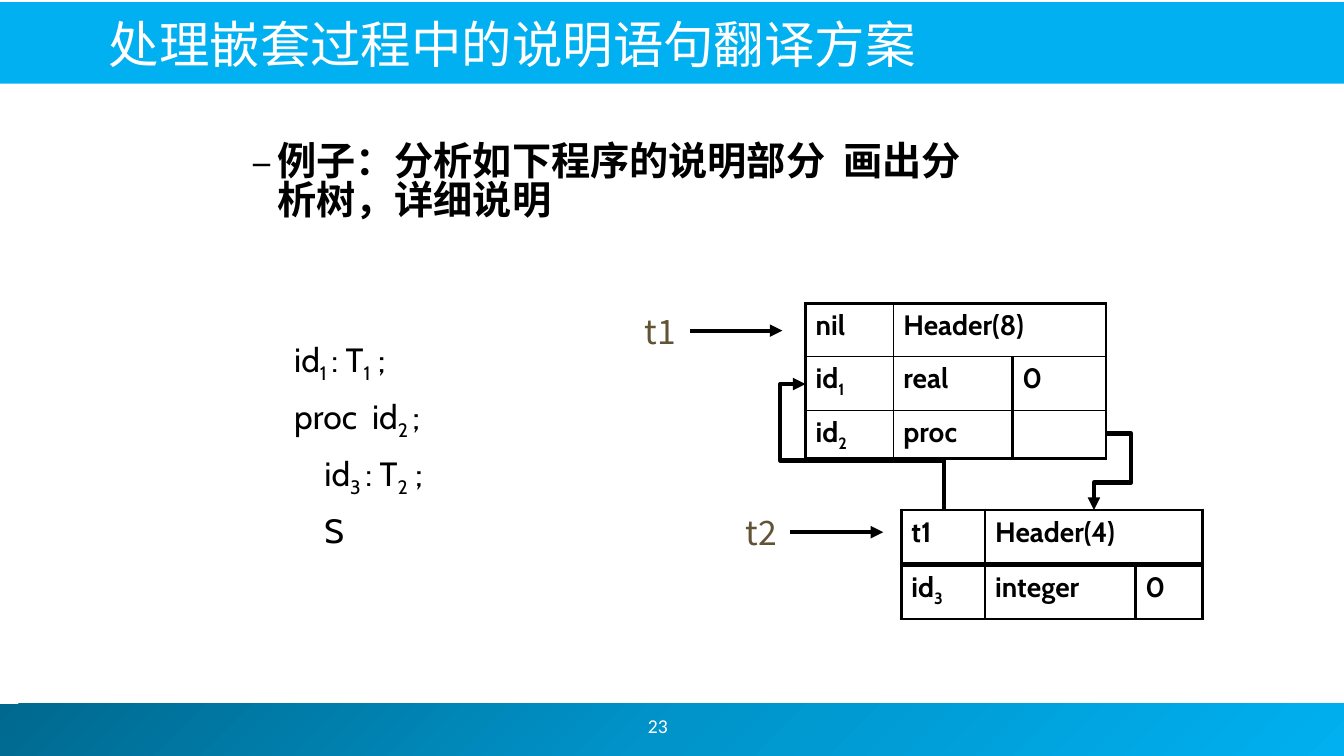
from copy import deepcopy
from dataclasses import dataclass

from lxml.etree import SubElement
from pptx import Presentation
from pptx.dml.color import RGBColor
from pptx.enum.shapes import MSO_CONNECTOR, MSO_SHAPE
from pptx.enum.text import MSO_ANCHOR, MSO_AUTO_SIZE, PP_ALIGN
from pptx.oxml.ns import qn
from pptx.util import Inches, Pt


@dataclass(frozen=True)
class Theme:
    sky: str = "00B0F0"
    footer_stops: tuple = ((0, "00688E"), (0.5, "0094CA"), (1, "00B0F0"))
    white: str = "FFFFFF"
    ink: str = "000000"
    label: str = "605435"
    latin: str = "Cabin"
    chinese: str = "Noto Sans CJK JP"
    number: str = "Calibri"
    title_size: int = 36
    example_size: int = 28
    body_size: int = 24
    cell_size: int = 20
    number_size: int = 14
    thin: float = 1
    thick: float = 2.25
    arrow: float = 3


THEME = Theme()


def rgb(color):
    return RGBColor.from_string(color)


def inches(*values):
    return [Inches(value) for value in values]


def write(para, text, font=THEME.latin, size=THEME.body_size, color=THEME.ink,
          bold=False, align=PP_ALIGN.LEFT, before=0, line=None, left=0, hanging=0, bullet=None):
    """Fill a paragraph; text between a pair of ~ marks is subscript."""
    para.alignment = align
    para.space_before = Pt(before)
    para.line_spacing = line
    properties = para._p.get_or_add_pPr()
    properties.set("marL", str(Inches(left)))
    properties.set("indent", str(Inches(-hanging)))
    if bullet:
        SubElement(properties, qn("a:buFont")).set("typeface", font)
        SubElement(properties, qn("a:buChar")).set("char", bullet)
    for index, piece in enumerate(text.split("~")):
        if not piece:
            continue
        span = para.add_run()
        span.text = piece
        span.font.name = font
        span.font.size = Pt(size)
        span.font.bold = bold
        span.font.color.rgb = rgb(color)
        run_properties = span.font._element
        SubElement(run_properties, qn("a:ea")).set("typeface", font)
        if index % 2:
            run_properties.set("baseline", "-25000")


def add_text(shapes, place, text, anchor=MSO_ANCHOR.TOP, **style):
    box = shapes.add_textbox(*inches(*place))
    frame = box.text_frame
    frame.word_wrap = True
    frame.vertical_anchor = anchor
    write(frame.paragraphs[0], text, **style)
    return box


def add_bar(page, place):
    bar = page.shapes.add_shape(MSO_SHAPE.RECTANGLE, *inches(*place))
    bar.shadow.inherit = False
    bar.line.fill.background()
    bar.fill.solid()
    bar.fill.fore_color.rgb = rgb(THEME.sky)
    return bar


def shade_footer(bar):
    bar.fill.gradient()
    bar.fill.gradient_angle = 315
    stop_list = bar.element.spPr.find(".//" + qn("a:gsLst"))
    stop_list.insert(1, deepcopy(stop_list[0]))
    for stop, (position, color) in zip(bar.fill.gradient_stops, THEME.footer_stops):
        stop.position = position
        stop.color.rgb = rgb(color)


def set_title(page, text):
    title = page.shapes.title
    title.left, title.top, title.width, title.height = inches(0.58, 0.12, 9, 0.62)
    title.text_frame.vertical_anchor = MSO_ANCHOR.MIDDLE
    write(title.text_frame.paragraphs[0], text, font=THEME.chinese, size=THEME.title_size,
          color=THEME.white, align=PP_ALIGN.CENTER)
    title.element.getparent().append(title.element)


def add_arrow(shapes, begin, end, kind=MSO_CONNECTOR.STRAIGHT):
    arrow = shapes.add_connector(kind, *inches(*begin, *end))
    arrow.line.color.rgb = rgb(THEME.ink)
    arrow.line.width = Pt(THEME.arrow)
    properties = arrow.element.spPr
    SubElement(properties.find(qn("a:ln")), qn("a:tailEnd")).set("type", "triangle")
    SubElement(properties, qn("a:effectLst"))
    return arrow


def add_bent_arrow(page, begin, end, bends, quarter_turn=False):
    """Draw a three-bend arrow; a quarter turn makes it leave vertically."""
    if quarter_turn:
        middle_x, middle_y = (begin[0] + end[0]) / 2, (begin[1] + end[1]) / 2
        begin, end = [(middle_x + y - middle_y, middle_y - x + middle_x) for x, y in (begin, end)]
    arrow = add_arrow(page.shapes, begin, end, MSO_CONNECTOR.ELBOW)
    properties = arrow.element.spPr
    if quarter_turn:
        properties.find(qn("a:xfrm")).set("rot", "5400000")
    geometry = properties.find(qn("a:prstGeom"))
    geometry.set("prst", "bentConnector4")
    guides = geometry.find(qn("a:avLst"))
    for number, bend in enumerate(bends, 1):
        guide = SubElement(guides, qn("a:gd"))
        guide.set("name", f"adj{number}")
        guide.set("fmla", f"val {round(bend * 100000)}")


def set_borders(cell, **weights):
    properties = cell._tc.get_or_add_tcPr()
    for index, side in enumerate(("left", "right", "top", "bottom")):
        line = properties.makeelement(qn(f"a:ln{side[0].upper()}"), {"w": str(Pt(weights[side]))})
        fill = SubElement(line, qn("a:solidFill"))
        SubElement(fill, qn("a:srgbClr")).set("val", THEME.ink)
        properties.insert(index, line)


def add_symbol_table(page, left, top, widths, heights, rows):
    """Draw a symbol table; None joins a cell to the one before it."""
    frame = page.shapes.add_table(len(rows), len(widths),
                                  *inches(left, top, sum(widths), sum(heights)))
    table = frame.table
    table.first_row = table.horz_banding = False
    for column, width in zip(table.columns, widths):
        column.width = Inches(width)
    for row, height in zip(table.rows, heights):
        row.height = Inches(height)
    for r, texts in enumerate(rows):
        for c, text in enumerate(texts):
            cell = table.cell(r, c)
            if text is None:
                table.cell(r, c - 1).merge(cell)
                continue
            cell.fill.background()
            write(cell.text_frame.paragraphs[0], text, size=THEME.cell_size, bold=True, before=4)
            set_borders(cell,
                        left=THEME.thin if c == 1 else THEME.thick,
                        right=THEME.thin if c == 0 else THEME.thick,
                        top=THEME.thin if r else THEME.thick,
                        bottom=THEME.thin if r < len(rows) - 1 else THEME.thick)


def add_pointer(page, left, top, name):
    """Group a table name with the arrow that points at its table."""
    shapes = page.shapes.add_group_shape().shapes
    label = add_text(shapes, (left, top, 0.58, 0.5), name, anchor=MSO_ANCHOR.BOTTOM,
                     font=THEME.chinese, color=THEME.label, align=PP_ALIGN.CENTER)
    label.text_frame.auto_size = MSO_AUTO_SIZE.SHAPE_TO_FIT_TEXT
    arrow = add_arrow(shapes, (left + 0.58, top + 0.25), (left + 1.5, top + 0.25))
    arrow.begin_connect(label, 3)


def add_program(page):
    box = page.shapes.add_textbox(*inches(1.07, 3.31, 4.33, 2.25))
    frame = box.text_frame
    frame.word_wrap = True
    lines = (("id~1 ~: T~1~ ;", 1.75), ("proc  id~2 ~;", 1.75),
             ("id~3 ~: T~2~ ;", 2.05), ("S", 2.05))
    for index, (text, left) in enumerate(lines):
        para = frame.add_paragraph() if index else frame.paragraphs[0]
        write(para, text, left=left, before=8 if index else 0)


def main():
    deck = Presentation()
    deck.slide_width, deck.slide_height = inches(13.33, 7.5)
    page = deck.slides.add_slide(deck.slide_layouts[5])
    shade_footer(add_bar(page, (-0.05, 6.98, 13.39, 0.52)))
    add_bar(page, (-0.02, 0.02, 13.36, 0.81))
    add_text(page.shapes, (5.08, 6.95, 2.89, 0.5), "23", anchor=MSO_ANCHOR.MIDDLE,
             font=THEME.number, size=THEME.number_size, color=THEME.white, align=PP_ALIGN.CENTER)
    add_text(page.shapes, (0.9, 1.38, 9.08, 0.99),
             "例子：分析如下程序的说明部分  画出分析树，详细说明", font=THEME.chinese,
             size=THEME.example_size, bold=True, line=0.83, left=1.75, hanging=0.25, bullet="–")
    add_program(page)
    add_symbol_table(page, 7.99, 3.01, (0.87, 1.18, 0.93), (0.53, 0.53, 0.43),
                     (("nil", "Header(8)", None), ("id~1~", "real", "0"), ("id~2~", "proc", "")))
    add_symbol_table(page, 8.94, 5.06, (0.83, 2.16), (0.53,), (("t1", "Header(4)"),))
    add_bent_arrow(page, (9.36, 5.06), (7.99, 3.81), (0.393, 1.184), quarter_turn=True)
    add_bent_arrow(page, (10.97, 4.3), (10.85, 5.06), (-2.087, 0.641))
    add_symbol_table(page, 8.94, 5.61, (0.83, 1.49, 0.67), (0.53,), (("id~3~", "integer", "0"),))
    add_pointer(page, 6.26, 3.03, "t1")
    add_pointer(page, 7.26, 5.03, "t2")
    set_title(page, "处理嵌套过程中的说明语句翻译方案")
    deck.save("out.pptx")


if __name__ == "__main__":
    main()
